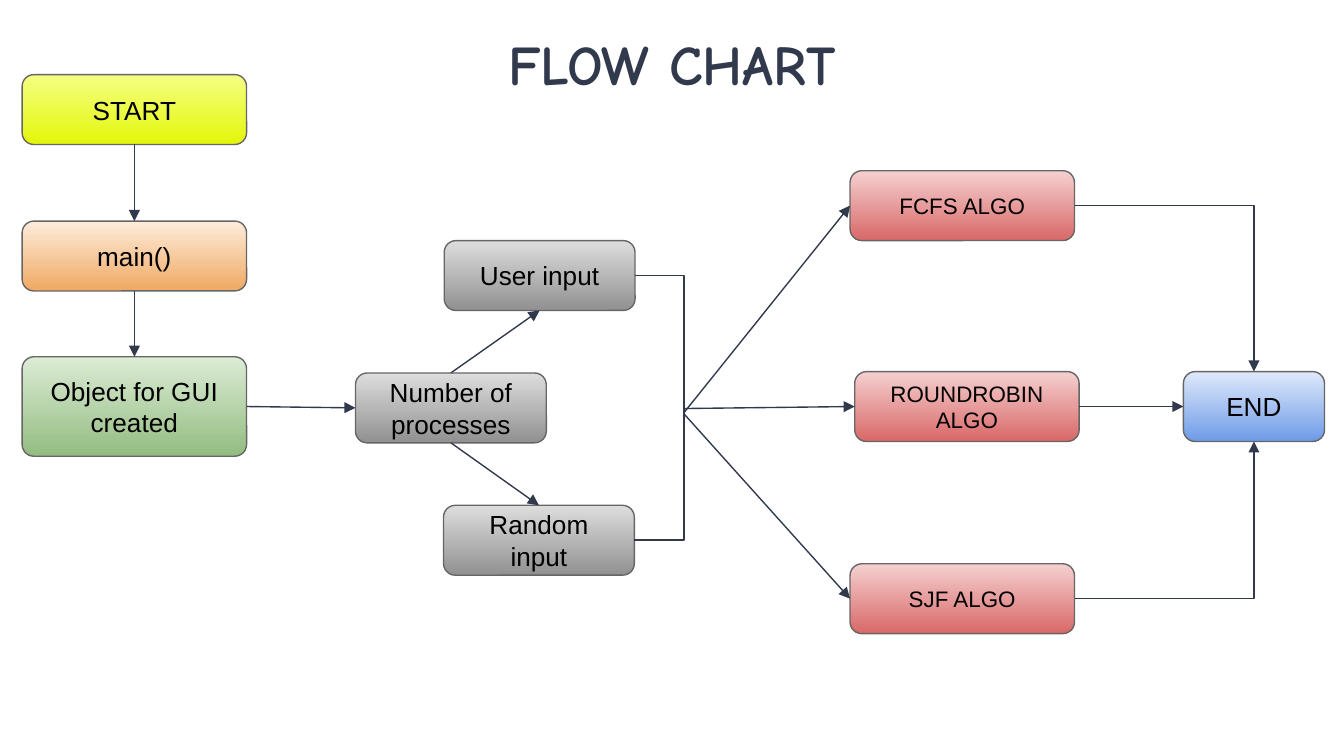
import pptx
import pptx.util
import pptx.dml.color
import pptx.enum.shapes
import pptx.enum.text
import pptx.oxml.ns
import lxml.etree

PX = 4572  # EMU per px, 200 px to the inch
SLIDE_WIDTH, SLIDE_HEIGHT = 2000, 1125
INK = "31394D"
INSET = 20
RADIUS = 17.4
TOP, LEFT, BOTTOM, RIGHT = range(4)  # connection sites of a rounded box
STRAIGHT = pptx.enum.shapes.MSO_CONNECTOR.STRAIGHT
ELBOW = pptx.enum.shapes.MSO_CONNECTOR.ELBOW

TITLE = ("FLOW CHART", (620, 24, 760, 142))

YELLOW = ("F5FF83", "E3F609")
ORANGE = ("FDECDB", "F0A963")
GREEN = ("DCECD5", "93BC81")
GREY = ("DDDDDD", "919191")
RED = ("F5D0D0", "D96868")
BLUE = ("DFE9FB", "6E9BE7")

# key: text, (left, top, width, height), gradient, text size
STEPS = {
    "start": ("START", (33, 111, 334, 104), YELLOW, 14),
    "gui": ("Object for GUI created", (33, 531, 334, 148), GREEN, 14),
    "processes": ("Number of processes", (529, 555, 284, 104), GREY, 14),
    "fcfs": ("FCFS ALGO", (1265, 254, 334, 104), RED, 12),
    "main": ("main()", (33, 329, 334, 104), ORANGE, 14),
    "robin": ("ROUNDROBIN ALGO", (1272, 553, 334, 104), RED, 12),
    "user": ("User input", (661, 358, 284, 104), GREY, 14),
    "sjf": ("SJF ALGO", (1265, 839, 334, 104), RED, 12),
    "random": ("Random input", (660, 752, 284, 104), GREY, 14),
    "end": ("END", (1761, 553, 210, 104), BLUE, 14),
}

# from, to, route, arrowhead; an end is (step, site) or a free point (x, y)
LINKS = [
    (("start", BOTTOM), ("main", TOP), "straight", True),
    (("main", BOTTOM), ("gui", TOP), "straight", True),
    (("gui", RIGHT), ("processes", LEFT), "straight", True),
    (("processes", TOP), ("user", BOTTOM), "straight", True),
    (("processes", BOTTOM), ("random", TOP), "straight", True),
    (("random", RIGHT), (1018, 562), "corner", False),
    (("user", RIGHT), (1018, 648), "corner", False),
    ((1018, 614), ("fcfs", LEFT), "straight", True),
    ((1018, 608), ("robin", LEFT), "straight", True),
    ((1018, 616), ("sjf", LEFT), "straight", True),
    (("fcfs", RIGHT), ("end", TOP), "corner", True),
    (("robin", RIGHT), ("end", LEFT), "step", True),
    (("sjf", RIGHT), ("end", BOTTOM), "corner", True),
]


def rgb(color):
    return pptx.dml.color.RGBColor.from_string(color)


def emu(lengths):
    return [length * PX for length in lengths]


def write(shape, text, font_name, size, color, bold=False):
    frame = shape.text_frame
    frame.word_wrap = True
    frame.margin_left = frame.margin_right = INSET * PX
    frame.margin_top = frame.margin_bottom = INSET * PX
    frame.text = text
    paragraph = frame.paragraphs[0]
    paragraph.alignment = pptx.enum.text.PP_ALIGN.CENTER
    font = paragraph.font
    font.name, font.size, font.bold = font_name, pptx.util.Pt(size), bold
    font.color.rgb = rgb(color)


def add_title(slide, text, place):
    title = slide.shapes.title
    title.left, title.top, title.width, title.height = emu(place)
    title.fill.solid()
    title.fill.fore_color.rgb = rgb("FFFFFF")
    write(title, text, "Comic Neue", 30, INK, bold=True)
    title.text_frame.auto_size = pptx.enum.text.MSO_AUTO_SIZE.NONE
    title.text_frame.vertical_anchor = pptx.enum.text.MSO_ANCHOR.TOP


def add_step(slide, text, place, gradient, size):
    box = slide.shapes.add_shape(
        pptx.enum.shapes.MSO_SHAPE.ROUNDED_RECTANGLE, *emu(place))
    box.shadow.inherit = False
    box.adjustments[0] = RADIUS / min(place[2:])
    box.fill.gradient()
    box.fill.gradient_angle = 270
    for stop, color in zip(box.fill.gradient_stops, gradient):
        stop.color.rgb = rgb(color)
    box.line.color.rgb = rgb("666666")
    box.line.width = pptx.util.Pt(0.75)
    write(box, text, "Arial", size, "000000")
    return box


def locate(end):
    """Return the point in px of a link's end."""
    if end[0] not in STEPS:
        return end
    step, site = end
    left, top, width, height = STEPS[step][1]
    return {
        TOP: (left + width // 2, top),
        LEFT: (left, top + height // 2),
        BOTTOM: (left + width // 2, top + height),
        RIGHT: (left + width, top + height // 2),
    }[site]


def add_link(slide, boxes, start, finish, route, arrow):
    link = slide.shapes.add_connector(
        STRAIGHT if route == "straight" else ELBOW,
        *emu(locate(start)), *emu(locate(finish)))
    if start[0] in boxes:
        link.begin_connect(boxes[start[0]], start[1])
    if finish[0] in boxes:
        link.end_connect(boxes[finish[0]], finish[1])
    link.line.color.rgb = rgb(INK)
    link.line.width = pptx.util.Pt(0.75)
    qn = pptx.oxml.ns.qn
    properties = link._element.spPr
    if route == "corner":
        properties.find(qn("a:prstGeom")).set("prst", "bentConnector2")
    if arrow:
        outline = properties.find(qn("a:ln"))
        lxml.etree.SubElement(outline, qn("a:tailEnd"), type="triangle", w="med", len="med")
    lxml.etree.SubElement(properties, qn("a:effectLst"))


def main():
    deck = pptx.Presentation()
    deck.slide_width, deck.slide_height = emu((SLIDE_WIDTH, SLIDE_HEIGHT))
    slide = deck.slides.add_slide(deck.slide_layouts.get_by_name("Title Only"))
    add_title(slide, *TITLE)
    boxes = {key: add_step(slide, *step) for key, step in STEPS.items()}
    for link in LINKS:
        add_link(slide, boxes, *link)
    deck.save("out.pptx")


if __name__ == "__main__":
    main()
